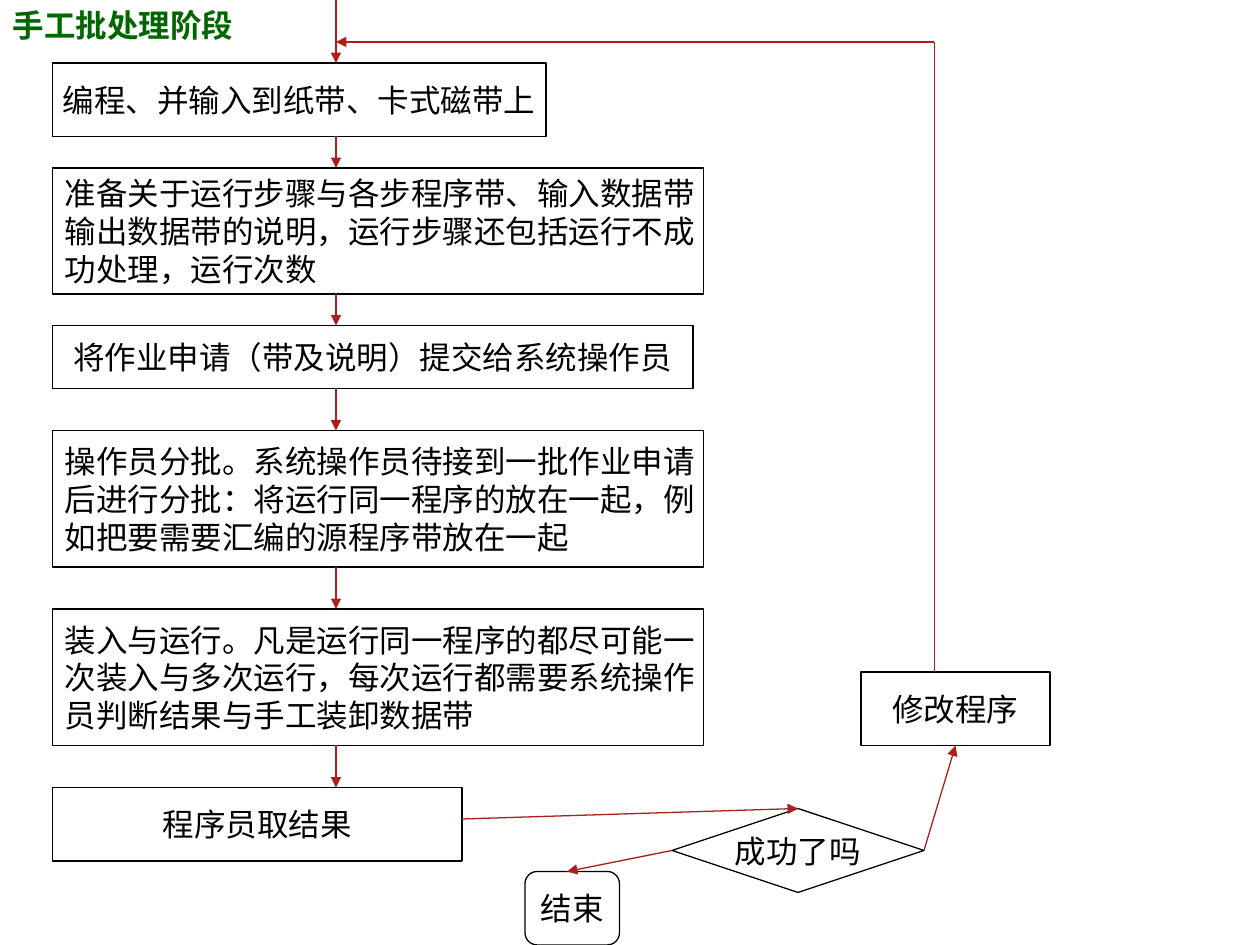
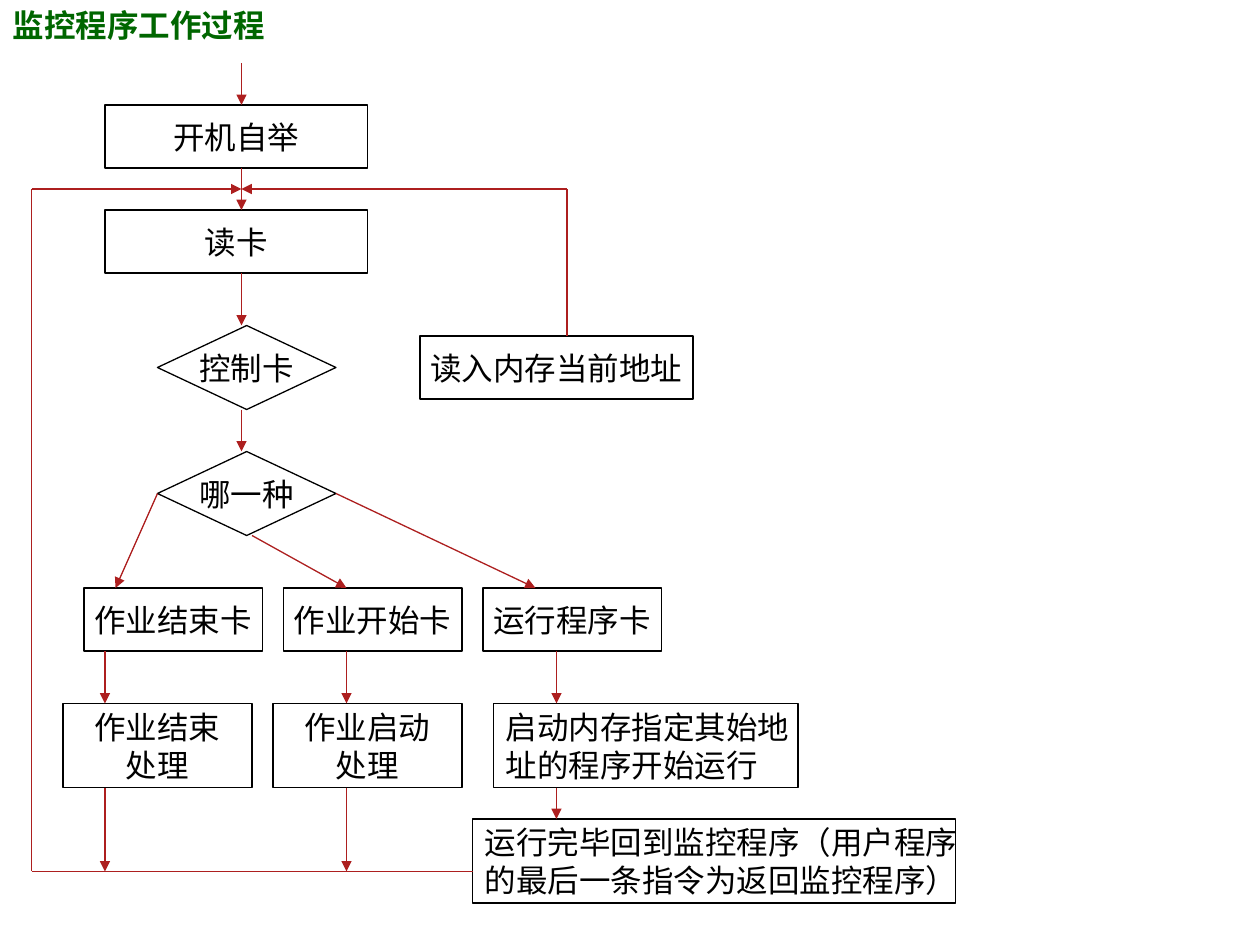
"""Build two flowchart slides on batch processing and the monitor program."""
from dataclasses import dataclass
from itertools import pairwise

from lxml import etree
from pptx import Presentation
from pptx import util as u
from pptx.dml.color import RGBColor
from pptx.enum import shapes, text
from pptx.oxml.ns import qn

RECTANGLE = shapes.MSO_SHAPE.RECTANGLE
DECISION = shapes.MSO_SHAPE.FLOWCHART_DECISION
TERMINAL = shapes.MSO_SHAPE.FLOWCHART_ALTERNATE_PROCESS
LEFT = text.PP_ALIGN.LEFT
CENTER = text.PP_ALIGN.CENTER

Point = tuple[float, float]


@dataclass(frozen=True)
class Theme:
    title_color: RGBColor = RGBColor(0x00, 0x66, 0x00)
    ink: RGBColor = RGBColor(0x00, 0x00, 0x00)
    paper: RGBColor = RGBColor(0xFF, 0xFF, 0xFF)
    arrow: RGBColor = RGBColor(0xAD, 0x1F, 0x1F)
    title_font: str = "Karla"
    body_font: str = "Times New Roman"
    size: float = 18
    line_width: float = 0.75


THEME = Theme()


@dataclass(frozen=True)
class Node:
    label: str
    left: float
    top: float
    width: float
    height: float
    kind: shapes.MSO_SHAPE = RECTANGLE
    align: text.PP_ALIGN = CENTER

    @property
    def bottom(self) -> float:
        return self.top + self.height

    @property
    def sites(self) -> list[Point]:
        right = self.left + self.width
        center, middle = self.left + self.width / 2, self.top + self.height / 2
        return [(center, self.top), (self.left, middle), (center, self.bottom), (right, middle)]


@dataclass(frozen=True)
class Link:
    start: Point
    end: Point
    arrow: bool = True


def write(frame, content: str, *, font: str, color: RGBColor, bold: bool = False,
          align: text.PP_ALIGN = LEFT, anchor=text.MSO_ANCHOR.MIDDLE, wrap: bool = False) -> None:
    frame.text = content
    frame.word_wrap = wrap
    frame.auto_size = text.MSO_AUTO_SIZE.NONE
    frame.vertical_anchor = anchor
    for paragraph in frame.paragraphs:
        paragraph.alignment = align
        paragraph.font.name = font
        paragraph.font.size = u.Pt(THEME.size)
        paragraph.font.bold = bold
        paragraph.font.color.rgb = color


def add_titled_slide(presentation, title: str, width: float):
    slide = presentation.slides.add_slide(presentation.slide_layouts[5])
    shape = slide.shapes.title
    shape.left, shape.top = u.Pt(0), u.Pt(0)
    shape.width, shape.height = u.Pt(width), u.Pt(540)
    write(shape.text_frame, title, font=THEME.title_font, color=THEME.title_color,
          bold=True, anchor=text.MSO_ANCHOR.TOP, wrap=True)
    return slide


def draw_node(slide, node: Node):
    bounds = (u.Pt(value) for value in (node.left, node.top, node.width, node.height))
    shape = slide.shapes.add_shape(node.kind, *bounds)
    shape.shadow.inherit = False
    shape.fill.solid()
    shape.fill.fore_color.rgb = THEME.paper
    shape.line.color.rgb = THEME.ink
    shape.line.width = u.Pt(THEME.line_width)
    write(shape.text_frame, node.label, font=THEME.body_font, color=THEME.ink, align=node.align)
    return shape


def draw_link(slide, link: Link, drawn: list) -> None:
    ends = (u.Pt(value) for value in (*link.start, *link.end))
    connector = slide.shapes.add_connector(shapes.MSO_CONNECTOR.STRAIGHT, *ends)
    connector.line.color.rgb = THEME.arrow
    connector.line.width = u.Pt(THEME.line_width)
    properties = connector._element.spPr
    if link.arrow:
        etree.SubElement(properties.find(qn("a:ln")), qn("a:tailEnd"), type="triangle")
    etree.SubElement(properties, qn("a:effectLst"))
    for node, shape in drawn:
        if link.start in node.sites:
            connector.begin_connect(shape, node.sites.index(link.start))
        if link.end in node.sites:
            connector.end_connect(shape, node.sites.index(link.end))


def draw_chart(slide, nodes: list[Node], links: list[Link]) -> None:
    drawn = [(node, draw_node(slide, node)) for node in nodes]
    for link in links:
        draw_link(slide, link, drawn)


def chain(x: float, nodes: list[Node]) -> list[Link]:
    return [Link((x, upper.bottom), (x, lower.top)) for upper, lower in pairwise(nodes)]


def build_manual_batch(presentation) -> None:
    slide = add_titled_slide(presentation, "手工批处理阶段", 612)
    steps = [
        Node("编程、并输入到纸带、卡式磁带上", 30, 36, 282, 42),
        Node("准备关于运行步骤与各步程序带、输入数据带\n输出数据带的说明，运行步骤还包括运行不成\n功处理，运行次数",
             30, 96, 372, 72, align=LEFT),
        Node("将作业申请（带及说明）提交给系统操作员", 30, 186, 366, 36),
        Node("操作员分批。系统操作员待接到一批作业申请\n后进行分批：将运行同一程序的放在一起，例\n如把要需要汇编的源程序带放在一起",
             30, 246, 372, 78, align=LEFT),
        Node("装入与运行。凡是运行同一程序的都尽可能一\n次装入与多次运行，每次运行都需要系统操作\n员判断结果与手工装卸数据带",
             30, 348, 372, 78, align=LEFT),
        Node("程序员取结果", 30, 450, 234, 42),
    ]
    success = Node("成功了吗", 384, 462, 144, 48, DECISION)
    revise = Node("修改程序", 492, 384, 108, 42)
    finish = Node("结束", 300, 498, 54, 42, TERMINAL)
    top, left, _, right = success.sites
    spine, return_x, return_y = 192, 534, 24
    links = [
        Link((spine, 0), (spine, steps[0].top)),
        *chain(spine, steps),
        Link((264, 468), top),
        Link(left, (324, finish.top)),
        Link(right, revise.sites[2]),
        Link((return_x, return_y), (return_x, revise.top), arrow=False),
        Link((return_x, return_y), (spine, return_y)),
    ]
    draw_chart(slide, [*steps, success, revise, finish], links)


def build_monitor(presentation) -> None:
    slide = add_titled_slide(presentation, "监控程序工作过程", 636)
    which = Node("哪一种", 90, 258, 102, 48, DECISION)
    main = [
        Node("开机自举", 60, 60, 150, 36),
        Node("读卡", 60, 120, 150, 36),
        Node("控制卡", 90, 186, 102, 48, DECISION),
        which,
    ]
    load = Node("读入内存当前地址", 240, 192, 156, 36)
    end_card, begin_card, run_card = [
        Node(label, 48 + 114 * column, 336, 102, 36)
        for column, label in enumerate(("作业结束卡", "作业开始卡", "运行程序卡"))
    ]
    end_job = Node("作业结束\n处理", 36, 402, 108, 48)
    begin_job = Node("作业启动\n处理", 156, 402, 108, 48)
    run_job = Node("启动内存指定其始地\n址的程序开始运行", 282, 402, 174, 48, align=LEFT)
    back = Node("运行完毕回到监控程序（用户程序\n的最后一条指令为返回监控程序）", 270, 468, 276, 48, align=LEFT)
    spine, end_x, begin_x, run_x = 138, 60, 198, 318
    loop_x, loop_top, loop_bottom, load_x = 18, 108, 498, 324
    _, left, _, right = which.sites
    links = [
        Link((spine, 36), (spine, main[0].top)),
        *chain(spine, main),
        Link(left, (66, end_card.top)),
        Link((144, which.bottom), (begin_x, begin_card.top)),
        Link(right, (306, run_card.top)),
        *chain(end_x, [end_card, end_job]),
        *chain(begin_x, [begin_card, begin_job]),
        *chain(run_x, [run_card, run_job, back]),
        Link((end_x, end_job.bottom), (end_x, loop_bottom)),
        Link((begin_x, begin_job.bottom), (begin_x, loop_bottom)),
        Link((loop_x, loop_bottom), (back.left, loop_bottom), arrow=False),
        Link((loop_x, loop_top), (loop_x, loop_bottom), arrow=False),
        Link((loop_x, loop_top), (spine, loop_top)),
        Link((load_x, loop_top), (load_x, load.top), arrow=False),
        Link((load_x, loop_top), (spine, loop_top)),
    ]
    nodes = [*main, load, end_card, begin_card, run_card, end_job, begin_job, run_job, back]
    draw_chart(slide, nodes, links)


def main() -> None:
    presentation = Presentation()
    presentation.slide_width, presentation.slide_height = u.Pt(720), u.Pt(540)
    build_manual_batch(presentation)
    build_monitor(presentation)
    presentation.save("out.pptx")


if __name__ == "__main__":
    main()
